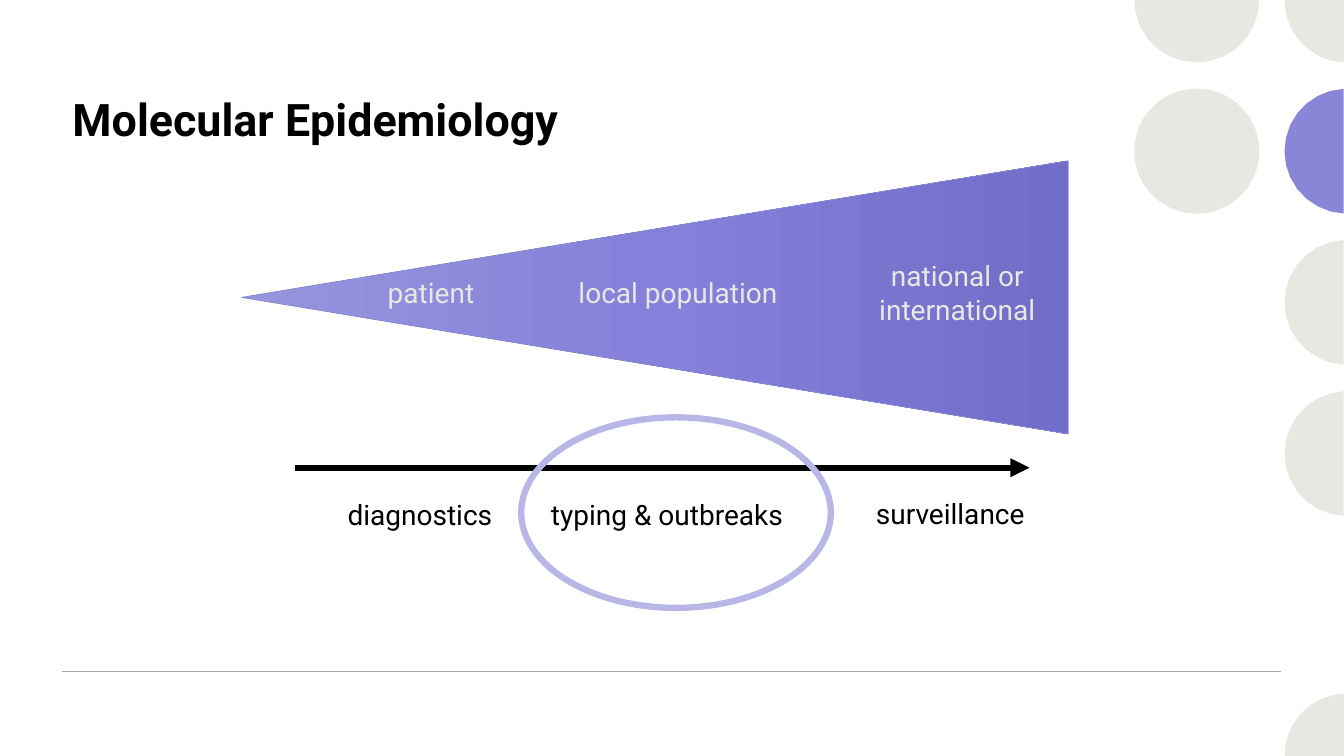
from copy import deepcopy
from dataclasses import dataclass
from math import cos, radians, sin

from lxml import etree
from pptx import Presentation
from pptx.dml.color import RGBColor
from pptx.enum.shapes import MSO_CONNECTOR, MSO_SHAPE
from pptx.enum.text import MSO_ANCHOR, PP_ALIGN
from pptx.oxml.ns import qn
from pptx.util import Inches, Pt

OVAL = MSO_SHAPE.OVAL
TRIANGLE = MSO_SHAPE.ISOSCELES_TRIANGLE
STRAIGHT = MSO_CONNECTOR.STRAIGHT
TOP = MSO_ANCHOR.TOP
LEFT, CENTER = PP_ALIGN.LEFT, PP_ALIGN.CENTER
WIDTH, HEIGHT = 13.33, 7.5


@dataclass(frozen=True)
class Theme:
    font: str = "Roboto"
    title_size: int = 32
    label_size: int = 20
    black: str = "000000"
    pale: str = "E8E8E2"
    violet: str = "8985D7"
    ring: str = "B8B6E7"
    rule: str = "A6A6A6"
    wedge: tuple[str, ...] = ("9794DC", "8581DB", "726EC8")


@dataclass(frozen=True)
class CutDot:
    """Circle cut off by the slide edge; its arc runs clockwise from the right."""
    column: int
    row: int
    start: int
    end: int
    color: str
    corner: tuple[float, float] | None = None


@dataclass(frozen=True)
class Label:
    left: float
    top: float
    lines: tuple[str, ...]
    color: str


THEME = Theme()
DOT_RADIUS, DOT_X, DOT_GAP_X, DOT_GAP_Y = 0.62, 11.87, 1.49, 1.5
ARC_STEPS = 14
LABEL_WIDTH, LINE_HEIGHT = 3.39, 0.33

CUT_DOTS = [
    CutDot(0, 0, 0, 180, THEME.pale),
    CutDot(1, 0, 93, 180, THEME.pale, (WIDTH, 0)),
    CutDot(1, 1, 93, 267, THEME.violet),
    CutDot(1, 2, 93, 267, THEME.pale),
    CutDot(1, 3, 93, 267, THEME.pale),
    CutDot(1, 5, 180, 267, THEME.pale, (WIDTH, HEIGHT)),
]
LABELS = [
    Label(2.58, 2.68, ("patient",), THEME.pale),
    Label(5.03, 2.68, ("local population",), THEME.pale),
    Label(7.8, 2.52, ("national or", "international"), THEME.pale),
    Label(2.47, 4.89, ("diagnostics",), THEME.black),
    Label(4.92, 4.89, ("typing & outbreaks",), THEME.black),
    Label(7.73, 4.88, ("surveillance",), THEME.black),
]


def rgb(color: str) -> RGBColor:
    return RGBColor.from_string(color)


def fill_plain(s, color: str) -> None:
    s.shadow.inherit = False
    s.fill.solid()
    s.fill.fore_color.rgb = rgb(color)
    s.line.fill.background()


def add_whole_dot(shapes, column: int, row: int, color: str) -> None:
    left = DOT_X + DOT_GAP_X * column - DOT_RADIUS
    top = DOT_GAP_Y * row - DOT_RADIUS
    size = Inches(2 * DOT_RADIUS)
    fill_plain(shapes.add_shape(OVAL, Inches(left), Inches(top), size, size), color)


def add_cut_dot(shapes, dot: CutDot) -> None:
    x, y = DOT_X + DOT_GAP_X * dot.column, DOT_GAP_Y * dot.row
    step = (dot.end - dot.start) / ARC_STEPS
    angles = [radians(dot.start + step * i) for i in range(ARC_STEPS + 1)]
    points = [(x + DOT_RADIUS * cos(a), y + DOT_RADIUS * sin(a)) for a in angles]
    if dot.corner:
        points.append(dot.corner)
    outline = [(Inches(px), Inches(py)) for px, py in points]
    builder = shapes.build_freeform(*outline[0])
    builder.add_line_segments(outline[1:], close=True)
    fill_plain(builder.convert_to_shape(), dot.color)


def add_line(shapes, left: float, right: float, y: float, color: str,
             width: float, arrow: bool = False) -> None:
    s = shapes.add_connector(STRAIGHT, Inches(left), Inches(y), Inches(right), Inches(y))
    s.line.color.rgb = rgb(color)
    s.line.width = Pt(width)
    if arrow:
        ln = s._element.spPr.find(qn("a:ln"))
        etree.SubElement(ln, qn("a:tailEnd"), type="triangle")
    etree.SubElement(s._element.spPr, qn("a:effectLst"))


def add_text(shapes, left: float, top: float, width: float, height: float,
             lines: tuple[str, ...], size: int, color: str,
             align=CENTER, bold: bool = False) -> None:
    s = shapes.add_textbox(Inches(left), Inches(top), Inches(width), Inches(height))
    tf = s.text_frame
    tf.word_wrap = True
    tf.vertical_anchor = TOP
    for i, line in enumerate(lines):
        p = tf.add_paragraph() if i else tf.paragraphs[0]
        p.alignment = align
        r = p.add_run()
        r.text = line
        r.font.name = THEME.font
        r.font.size = Pt(size)
        r.font.bold = bold
        r.font.color.rgb = rgb(color)


def add_wedge(shapes) -> None:
    """Draw the triangle that widens to the right and darkens as it does."""
    s = shapes.add_shape(TRIANGLE, Inches(5.14), Inches(-1.15), Inches(2.71), Inches(8.2))
    s.rotation = 270
    s.shadow.inherit = False
    s.fill.gradient()
    s.fill.gradient_angle = 270
    stop_list = s._element.spPr.find(f".//{qn('a:gsLst')}")
    stop_list.append(deepcopy(stop_list[0]))
    for i, (stop, color) in enumerate(zip(s.fill.gradient_stops, THEME.wedge)):
        stop.position = i / 2
        stop.color.rgb = rgb(color)
    s.line.color.rgb = rgb(THEME.violet)
    s.line.width = Pt(0.5)


def add_ring(shapes) -> None:
    s = shapes.add_shape(OVAL, Inches(5.17), Inches(4.14), Inches(3.07), Inches(1.89))
    s.shadow.inherit = False
    s.fill.background()
    s.line.color.rgb = rgb(THEME.ring)
    s.line.width = Pt(4.5)


def main() -> None:
    prs = Presentation()
    prs.slide_width, prs.slide_height = Inches(WIDTH), Inches(HEIGHT)
    shapes = prs.slides.add_slide(prs.slide_layouts[6]).shapes

    add_whole_dot(shapes, 0, 1, THEME.pale)
    for dot in CUT_DOTS:
        add_cut_dot(shapes, dot)
    add_line(shapes, 0.62, 12.71, 6.66, THEME.rule, 1)
    add_text(shapes, 0.62, 0.86, 8.02, 1.39, ("Molecular Epidemiology",),
             THEME.title_size, THEME.black, LEFT, bold=True)
    add_wedge(shapes)
    add_line(shapes, 2.93, 10.21, 4.64, THEME.black, 4.5, arrow=True)
    for label in LABELS:
        height = 0.1 + LINE_HEIGHT * len(label.lines)
        add_text(shapes, label.left, label.top, LABEL_WIDTH, height, label.lines,
                 THEME.label_size, label.color)
    add_ring(shapes)
    prs.save("out.pptx")


if __name__ == "__main__":
    main()
